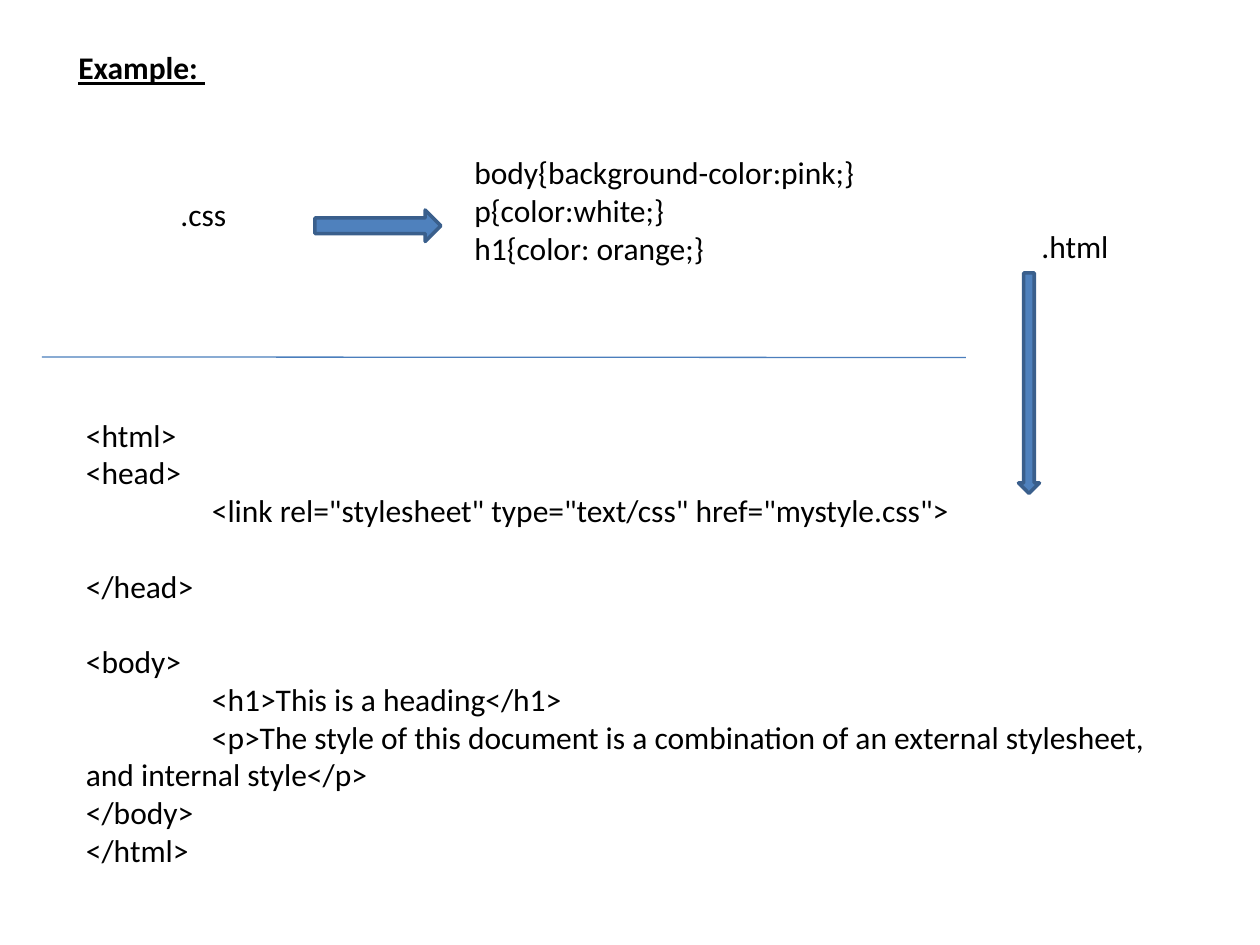
import pptx
import pptx.util
import pptx.dml.color
import pptx.enum.shapes
import pptx.enum.text
import pptx.oxml.ns
import lxml.etree

SHAPES = pptx.enum.shapes.MSO_SHAPE
ALIGN = pptx.enum.text.PP_ALIGN

# Content: positions are left, top, width, height in grid columns and rows
TITLE = ("Example: ", (4, 4, 19, 4.8))
# Each text: lines, place, wrap, numbers of the lines with a gap above
TEXTS = [
    (["<html>",
      "<head>",
      '\t<link rel="stylesheet" type="text/css" href="mystyle.css">',
      "</head>",
      "<body>",
      "\t<h1>This is a heading</h1>",
      "\t<p>The style of this document is a combination of an external "
      "stylesheet, \tand internal style</p>",
      "</body>",
      "</html>"], (7, 39, 107, 44.9), True, (3, 4)),
    (["body{background-color:pink;}",
      "p{color:white;}",
      "h1{color: orange;}"], (44, 14, 60, 12.1), True, ()),
    ([".css"], (16, 18, 6.8, 4.8), False, ()),
    ([".html"], (98, 21, 8.9, 4.8), False, ()),
]
ARROWS = [
    (SHAPES.RIGHT_ARROW, (30, 20, 12, 3)),
    (SHAPES.DOWN_ARROW, (97, 26, 2, 21)),
]
DIVIDER = (4, 34, 92, 34.05)

THEME = {
    "fill": "4F81BD", "outline": "3A5F8C", "divider": "4B7EBC",
    "outline_width": pptx.util.Pt(2), "divider_width": pptx.util.Pt(0.75),
    "gap": pptx.util.Pt(21.5), "tab": pptx.util.Inches(1),
    "text": {"name": "Calibri", "size": pptx.util.Pt(18)},
    "text_color": "000000",
}
THEME["title"] = {**THEME["text"], "bold": True, "underline": True}

# Slide and its 120 by 90 grid
presentation = pptx.Presentation()
presentation.slide_width = pptx.util.Inches(10)
presentation.slide_height = pptx.util.Inches(7.5)
CELL = presentation.slide_width // 120
slide = presentation.slides.add_slide(presentation.slide_layouts[5])


def on_grid(place):
    return [round(value * CELL) for value in place]


def color(name):
    return pptx.dml.color.RGBColor.from_string(THEME[name])


def apply(target, values):
    for name, value in values.items():
        setattr(target, name, value)


def write(paragraph, text, style):
    run = paragraph.add_run()
    run.text = text
    apply(run.font, THEME[style])
    run.font.color.rgb = color("text_color")


def add_tab_stop(paragraph):
    properties = paragraph._p.get_or_add_pPr()
    stops = lxml.etree.SubElement(properties, pptx.oxml.ns.qn("a:tabLst"))
    lxml.etree.SubElement(stops, pptx.oxml.ns.qn("a:tab"),
                          pos=str(THEME["tab"]), algn="l")


# Title
title = slide.shapes.title
apply(title, dict(zip(("left", "top", "width", "height"), on_grid(TITLE[1]))))
apply(title.text_frame, {"vertical_anchor": pptx.enum.text.MSO_ANCHOR.TOP,
                         "auto_size": pptx.enum.text.MSO_AUTO_SIZE.NONE})
title.text_frame.paragraphs[0].alignment = ALIGN.CENTER
write(title.text_frame.paragraphs[0], TITLE[0], "title")

# Code listings and file labels
for lines, place, wrap, gaps in TEXTS:
    frame = slide.shapes.add_textbox(*on_grid(place)).text_frame
    frame.word_wrap = wrap
    for number, line in enumerate(lines):
        paragraph = frame.add_paragraph() if number else frame.paragraphs[0]
        if number in gaps:
            paragraph.space_before = THEME["gap"]
        if line.startswith("\t"):
            add_tab_stop(paragraph)
        write(paragraph, line, "text")

# Block arrows
for kind, place in ARROWS:
    arrow = slide.shapes.add_shape(kind, *on_grid(place))
    arrow.shadow.inherit = False
    arrow.fill.solid()
    arrow.fill.fore_color.rgb = color("fill")
    arrow.line.color.rgb = color("outline")
    arrow.line.width = THEME["outline_width"]

# Divider between the two files
divider = slide.shapes.add_connector(
    pptx.enum.shapes.MSO_CONNECTOR.STRAIGHT, *on_grid(DIVIDER))
divider.line.color.rgb = color("divider")
divider.line.width = THEME["divider_width"]
lxml.etree.SubElement(divider._element.spPr, pptx.oxml.ns.qn("a:effectLst"))

presentation.save("out.pptx")
